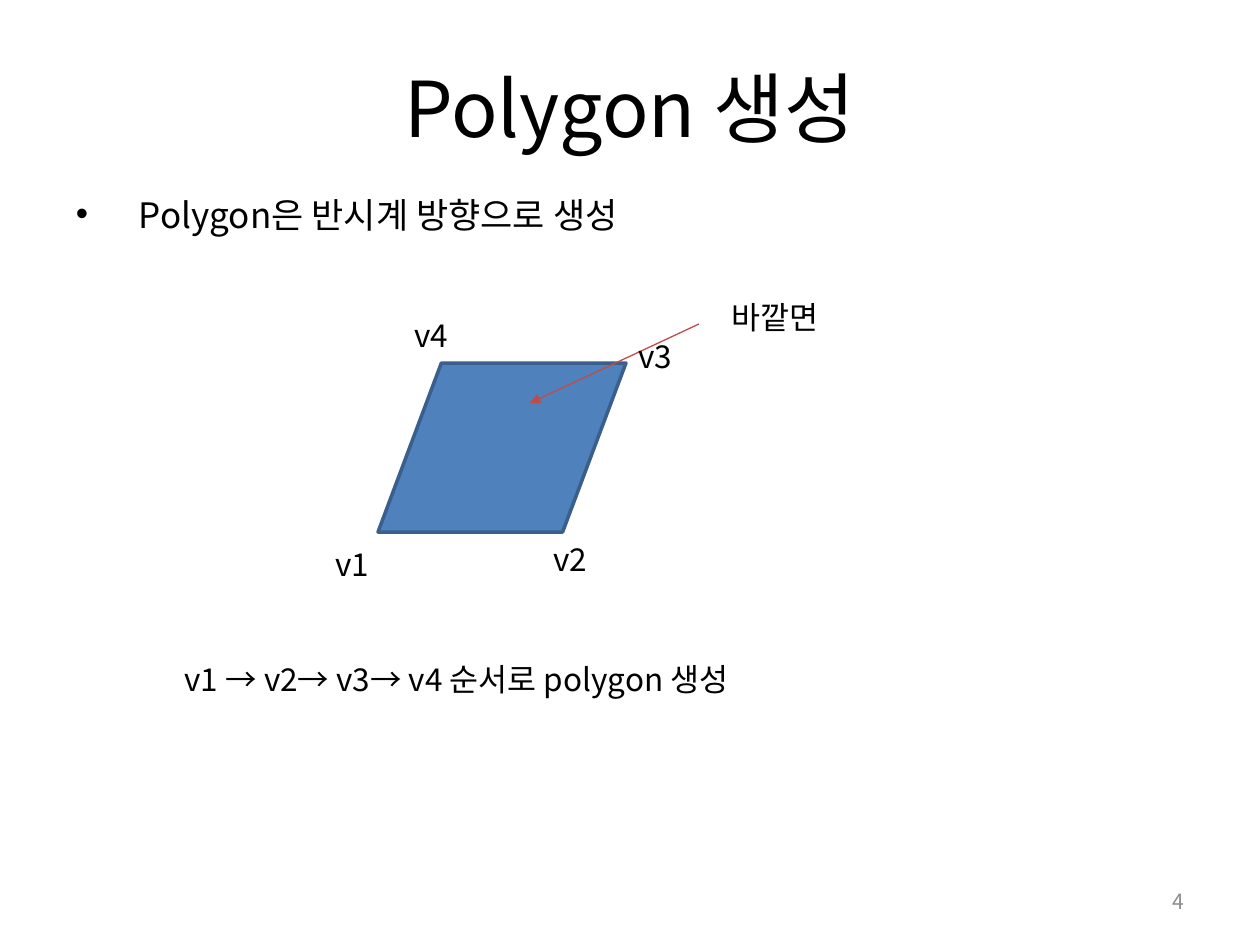
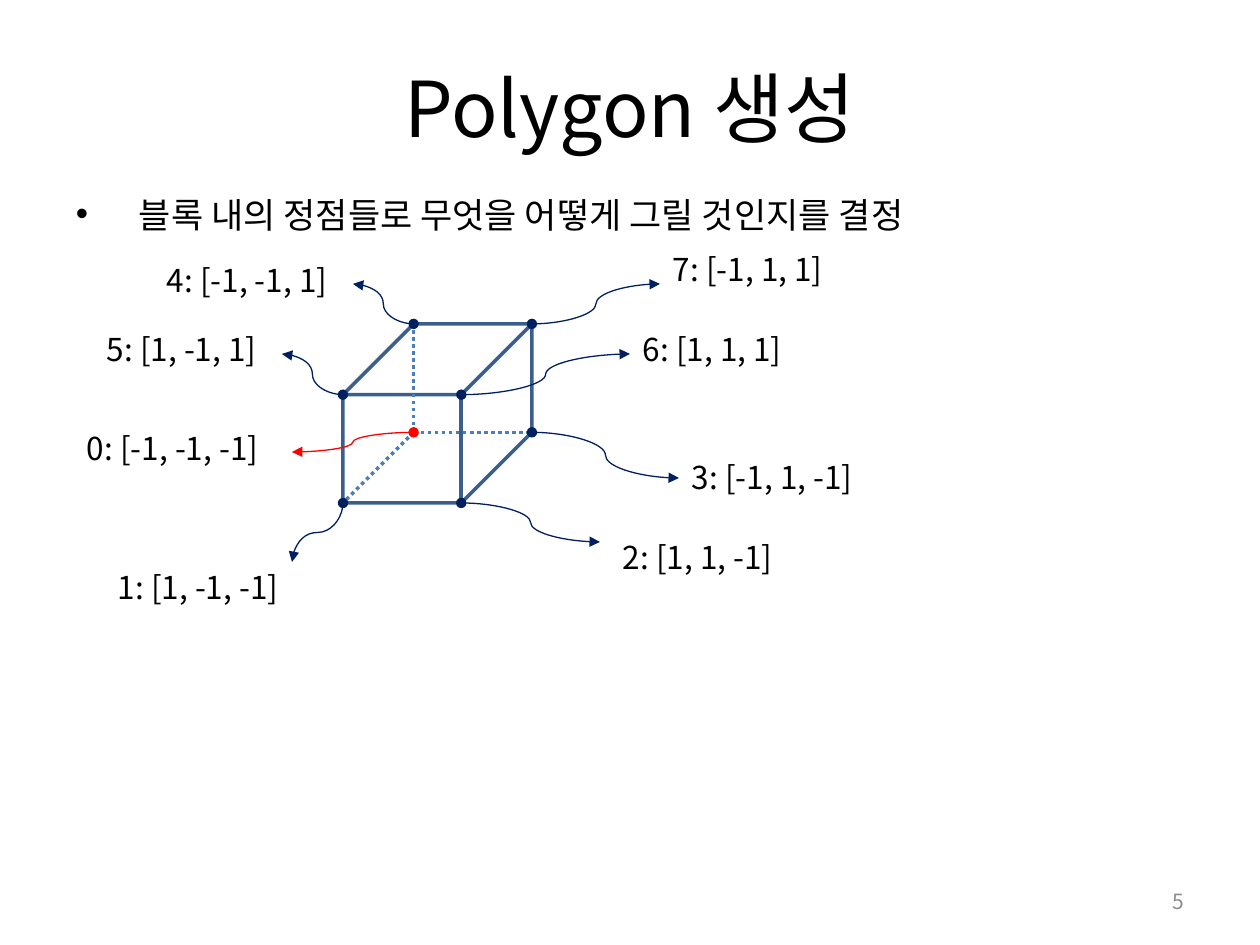
from dataclasses import dataclass

from lxml.etree import SubElement
from pptx import Presentation
from pptx.dml.color import RGBColor
from pptx.enum.dml import MSO_LINE
from pptx.enum.shapes import MSO_CONNECTOR, MSO_SHAPE
from pptx.enum.text import MSO_ANCHOR, PP_ALIGN
from pptx.oxml.ns import qn
from pptx.util import Emu, Pt


@dataclass(frozen=True)
class Theme:
    font: str = "Noto Sans CJK KR"
    ink: str = "000000"
    muted: str = "8C8C8C"
    face: str = "4F81BD"
    edge: str = "3A5F8C"
    hidden_edge: str = "4B7EBC"
    pointer: str = "BF4C48"
    callout: str = "002060"
    origin: str = "FF0000"
    title_size: int = 44
    bullet_size: int = 20
    label_size: int = 18
    number_size: int = 12
    edge_width: float = 2
    arrow_width: float = 0.75


THEME = Theme()
PX_PER_INCH = 126
SLIDE_SIZE = (1260, 945)
INSET = 13
LABEL_HEIGHT = 50

TITLE = "Polygon 생성"
WINDING_RULE = "Polygon은 반시계 방향으로 생성"
DRAWING_RULE = "블록 내의 정점들로 무엇을 어떻게 그릴 것인지를 결정"

QUAD_BOX = (378, 363, 248, 169)
QUAD_SLANT = 0.375
QUAD_LABELS = [("v1", 323, 539), ("v2", 541, 534), ("v3", 626, 331), ("v4", 402, 310)]
OUTER_FACE = ("바깥면", (719, 292, 149, LABEL_HEIGHT))
OUTER_POINTER = ((699, 324), (530, 403))
VERTEX_ORDER = ("v1 → v2→ v3→ v4 순서로 polygon 생성", (139, 654, 635, LABEL_HEIGHT))

CUBE_BOX = (343, 324, 189, 179)
CUBE_DEPTH = 0.395
CUBE_LABEL_WIDTH = 238
CUBE_VERTICES = [
    ((-1, -1, -1), (292, 452), (74, 423)),
    ((1, -1, -1), (292, 562), (105, 562)),
    ((1, 1, -1), (600, 542), (610, 532)),
    ((-1, 1, -1), (679, 478), (679, 452)),
    ((-1, -1, 1), (353, 284), (154, 255)),
    ((1, -1, 1), (282, 354), (94, 324)),
    ((1, 1, 1), (630, 354), (630, 324)),
    ((-1, 1, 1), (660, 284), (660, 244)),
]
ORIGIN_VERTEX = 0
DOWNWARD_VERTEX = 1
HIDDEN_NEIGHBOURS = [4, 3, 1]


def px(length):
    return Emu(round(length * 914400 / PX_PER_INCH))


def rgb(color):
    return RGBColor.from_string(color)


def add_text(slide, text, box, size=THEME.label_size, color=THEME.ink,
             align=PP_ALIGN.LEFT, anchor=MSO_ANCHOR.TOP, inset=INSET):
    frame = slide.shapes.add_textbox(*map(px, box)).text_frame
    frame.word_wrap = True
    frame.vertical_anchor = anchor
    frame.margin_left = frame.margin_right = px(inset)
    paragraph = frame.paragraphs[0]
    paragraph.alignment = align
    run = paragraph.add_run()
    run.text = text
    run.font.size = Pt(size)
    run.font.name = THEME.font
    run.font.color.rgb = rgb(color)
    SubElement(run.font._element, qn("a:ea"), typeface=THEME.font)
    return paragraph


def add_bullet(slide, text):
    paragraph = add_text(slide, text, (63, 195, 1134, 59), THEME.bullet_size)
    paragraph.line_spacing = 0.8
    paragraph.space_before = Pt(4)
    properties = paragraph._p.get_or_add_pPr()
    properties.set("marL", str(px(63)))
    properties.set("indent", str(px(-63)))
    SubElement(properties, qn("a:buFont"), typeface="Arial")
    SubElement(properties, qn("a:buChar"), char="•")


def add_solid(slide, preset, box, adjustment, fill=None):
    solid = slide.shapes.add_shape(preset, *map(px, box))
    solid.adjustments[0] = adjustment
    solid.shadow.inherit = False
    if fill:
        solid.fill.solid()
        solid.fill.fore_color.rgb = rgb(fill)
    else:
        solid.fill.background()
    solid.line.color.rgb = rgb(THEME.edge)
    solid.line.width = Pt(THEME.edge_width)


def add_line(slide, start, end, color, width, kind=MSO_CONNECTOR.STRAIGHT,
             dash=None, head=None, tail=None):
    connector = slide.shapes.add_connector(kind, *map(px, (*start, *end)))
    connector.line.color.rgb = rgb(color)
    connector.line.width = Pt(width)
    if dash:
        connector.line.dash_style = dash
    properties = connector.element.spPr
    outline = properties.find(qn("a:ln"))
    for tag, marker in (("a:headEnd", head), ("a:tailEnd", tail)):
        if marker:
            SubElement(outline, qn(tag), type=marker)
    SubElement(properties, qn("a:effectLst"))
    return connector


def add_callout(slide, start, end, color, downward=False):
    if downward:
        center_x, center_y = (start[0] + end[0]) / 2, (start[1] + end[1]) / 2
        half_run, half_rise = (end[1] - start[1]) / 2, (start[0] - end[0]) / 2
        start = (center_x - half_run, center_y - half_rise)
        end = (center_x + half_run, center_y + half_rise)
    callout = add_line(slide, start, end, color, THEME.arrow_width,
                       MSO_CONNECTOR.CURVE, head="oval", tail="triangle")
    if downward:
        callout.element.spPr.find(qn("a:xfrm")).set("rot", str(90 * 60000))


def cube_point(vertex):
    front, right, top = (sign > 0 for sign in vertex)
    left_edge, top_edge, width, height = CUBE_BOX
    depth = CUBE_DEPTH * min(width, height)
    x = left_edge + (width - depth) * right + depth * (not front)
    y = top_edge + (height - depth) * (not top) + depth * front
    return x, y


def start_slide(deck, number, rule):
    slide = deck.slides.add_slide(deck.slide_layouts[6])
    add_text(slide, TITLE, (63, 38, 1134, 137), THEME.title_size,
             align=PP_ALIGN.CENTER, anchor=MSO_ANCHOR.MIDDLE)
    add_bullet(slide, rule)
    add_text(slide, str(number), (903, 876, 294, 50), THEME.number_size,
             THEME.muted, PP_ALIGN.RIGHT, MSO_ANCHOR.MIDDLE)
    return slide


def build_winding(deck):
    slide = start_slide(deck, 4, WINDING_RULE)
    add_solid(slide, MSO_SHAPE.PARALLELOGRAM, QUAD_BOX, QUAD_SLANT, THEME.face)
    add_line(slide, *OUTER_POINTER, THEME.pointer, THEME.arrow_width, tail="triangle")
    add_text(slide, *OUTER_FACE)
    for name, left, top in QUAD_LABELS:
        add_text(slide, name, (left, top, 59, LABEL_HEIGHT),
                 align=PP_ALIGN.CENTER, inset=0)
    add_text(slide, *VERTEX_ORDER, align=PP_ALIGN.CENTER)


def build_cube(deck):
    slide = start_slide(deck, 5, DRAWING_RULE)
    add_solid(slide, MSO_SHAPE.CUBE, CUBE_BOX, CUBE_DEPTH)
    points = [cube_point(vertex) for vertex, _, _ in CUBE_VERTICES]
    for neighbour in HIDDEN_NEIGHBOURS:
        add_line(slide, points[ORIGIN_VERTEX], points[neighbour],
                 THEME.hidden_edge, THEME.edge_width, dash=MSO_LINE.ROUND_DOT)
    for index, (vertex, tip, label_at) in enumerate(CUBE_VERTICES):
        color = THEME.origin if index == ORIGIN_VERTEX else THEME.callout
        add_callout(slide, points[index], tip, color, index == DOWNWARD_VERTEX)
        add_text(slide, f"{index}: {list(vertex)}",
                 (*label_at, CUBE_LABEL_WIDTH, LABEL_HEIGHT))


def main():
    deck = Presentation()
    deck.slide_width, deck.slide_height = map(px, SLIDE_SIZE)
    build_winding(deck)
    build_cube(deck)
    deck.save("out.pptx")


if __name__ == "__main__":
    main()
